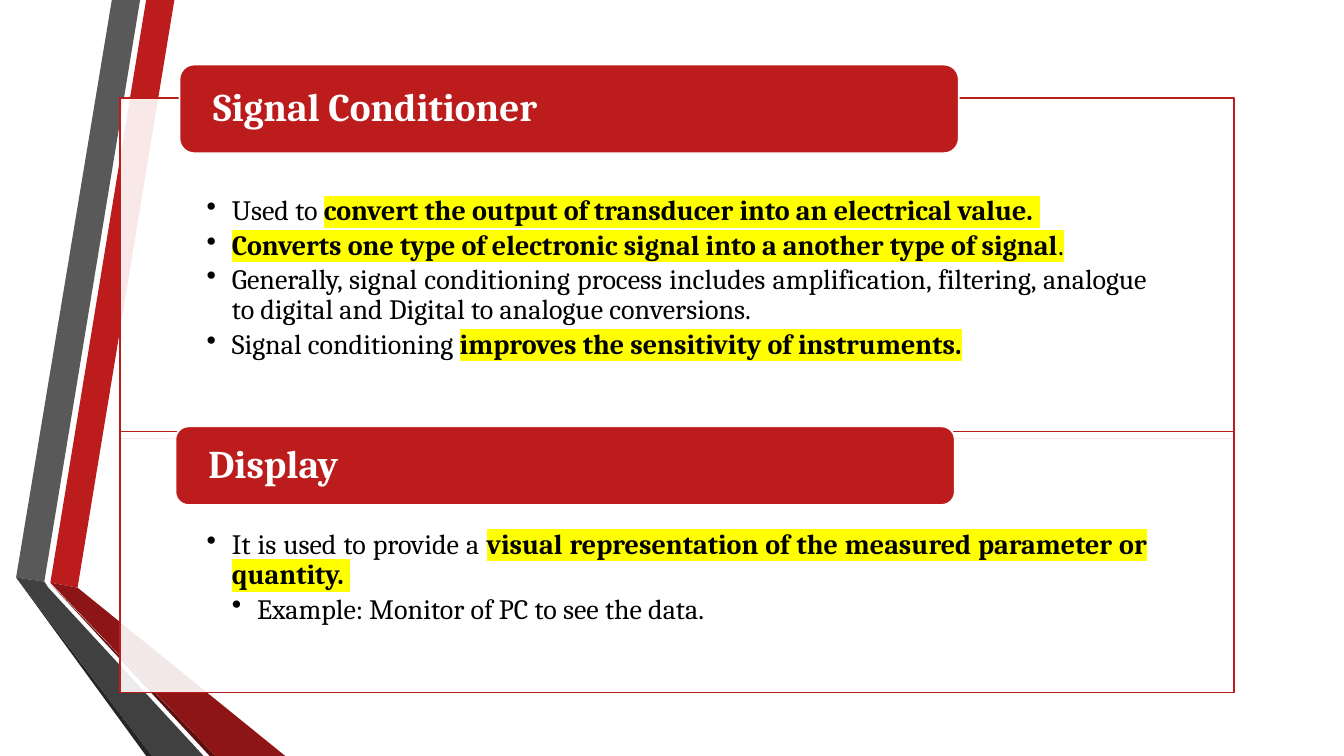
from dataclasses import dataclass

from lxml import etree
from pptx import Presentation
from pptx.dml.color import RGBColor
from pptx.enum.shapes import MSO_SHAPE
from pptx.enum.text import MSO_ANCHOR, PP_ALIGN
from pptx.oxml.ns import qn
from pptx.util import Pt

PX = 9144
SLIDE_WIDTH, SLIDE_HEIGHT = 1333, 750
BLANK_LAYOUT = 6
RECTANGLE, ROUNDED = MSO_SHAPE.RECTANGLE, MSO_SHAPE.ROUNDED_RECTANGLE
TOP, MIDDLE = MSO_ANCHOR.TOP, MSO_ANCHOR.MIDDLE
JUSTIFY = PP_ALIGN.JUSTIFY
PLAIN, MARKED, KEY = "plain", "marked", "key"


@dataclass(frozen=True)
class Theme:
    """Colours, font and type sizes of the slide."""
    red: str = "BC1C1C"
    dark_red: str = "8D1515"
    deep_red: str = "5E0E0E"
    grey: str = "595959"
    dark_grey: str = "404040"
    deep_grey: str = "262626"
    white: str = "FFFFFF"
    black: str = "000000"
    marker: str = "FFFF00"
    font: str = "Cambria"
    heading_size: int = 28
    body_size: int = 20
    outline: float = 1.25
    panel_alpha: int = 90000


THEME = Theme()

RIBBONS = [
    (THEME.red, [(34, 578), (61, 583), (157, 0), (129, 0)]),
    (THEME.grey, [(123, 0), (95, 0), (0, 573), (28, 577)]),
    (THEME.deep_grey, [(0, 573), (129, 750), (135, 750)]),
    (THEME.deep_red, [(34, 579), (192, 750), (198, 750)]),
    (THEME.dark_red, [(34, 578), (198, 750), (267, 750), (61, 583)]),
    (THEME.dark_grey, [(186, 750), (32, 583), (28, 577), (0, 573), (135, 750)]),
]

SECTIONS = [
    ("Signal Conditioner", (119, 97, 1105, 338), (59, -33, 773, 88), [
        (1, [("Used to ", PLAIN),
             ("convert the output of transducer into an electrical value. ", KEY)]),
        (1, [("Converts one type of electronic signal into a another type of signal", KEY),
             (".", MARKED)]),
        (1, [("Generally, signal conditioning process includes amplification, filtering, "
              "analogue to digital and Digital to analogue conversions.", PLAIN)]),
        (1, [("Signal conditioning ", PLAIN),
             ("improves the sensitivity of instruments.", KEY)]),
    ]),
    ("Display", (119, 428, 1105, 259), (55, -5, 773, 78), [
        (1, [("It is used to provide a ", PLAIN),
             ("visual representation of the measured parameter or quantity. ", KEY)]),
        (2, [("Example: Monitor of PC to see the data.", PLAIN)]),
    ]),
]


def paint(shape, fill, line=None):
    """Give a shape a flat fill and an optional outline."""
    shape.shadow.inherit = False
    shape.fill.solid()
    shape.fill.fore_color.rgb = RGBColor.from_string(fill)
    if line:
        shape.line.color.rgb = RGBColor.from_string(line)
        shape.line.width = Pt(THEME.outline)
    else:
        shape.line.fill.background()


def add_block(slide, preset, box, fill, line, insets, anchor):
    """Add a painted shape ready for text and return it."""
    block = slide.shapes.add_shape(preset, *(length * PX for length in box))
    paint(block, fill, line)
    frame = block.text_frame
    frame.word_wrap = True
    frame.vertical_anchor = anchor
    side, top, bottom = insets
    frame.margin_left = frame.margin_right = side * PX
    frame.margin_top, frame.margin_bottom = top * PX, bottom * PX
    return block


def style_paragraph(paragraph, size, color):
    """Set the alignment, line spacing and font of a paragraph."""
    paragraph.alignment = JUSTIFY
    paragraph.line_spacing = 0.9
    paragraph.font.name = THEME.font
    paragraph.font.size = Pt(size)
    paragraph.font.color.rgb = RGBColor.from_string(color)


def add_bullet(paragraph, level):
    """Give a paragraph a hanging round bullet at a level."""
    paragraph.level = level
    properties = paragraph._p.get_or_add_pPr()
    properties.set("marL", str(25 * level * PX))
    properties.set("indent", str(-25 * PX))
    etree.SubElement(properties, qn("a:buChar")).set("char", "•")


def add_phrase(paragraph, text, style):
    """Add a run, marked or bold as its style asks."""
    run = paragraph.add_run()
    run.text = text
    if style == KEY:
        run.font.bold = True
    if style != PLAIN:
        highlight = etree.SubElement(run._r.get_or_add_rPr(), qn("a:highlight"))
        etree.SubElement(highlight, qn("a:srgbClr")).set("val", THEME.marker)


def draw_ribbons(slide, box):
    """Draw the folded ribbons from the corner of the box."""
    left, top = box
    for color, corners in RIBBONS:
        builder = slide.shapes.build_freeform(*corners[0], scale=PX)
        builder.add_line_segments(corners[1:], close=True)
        paint(builder.convert_to_shape(left * PX, top * PX), color)


def draw_panel(slide, box, points):
    """Draw a translucent panel with its bulleted points."""
    panel = add_block(slide, RECTANGLE, box, THEME.white, THEME.red, (86, 98, 16), TOP)
    fill_color = panel._element.spPr.find(qn("a:solidFill")).find(qn("a:srgbClr"))
    etree.SubElement(fill_color, qn("a:alpha")).set("val", str(THEME.panel_alpha))
    frame = panel.text_frame
    for index, (level, phrases) in enumerate(points):
        point = frame.add_paragraph() if index else frame.paragraphs[0]
        add_bullet(point, level)
        style_paragraph(point, THEME.body_size, THEME.black)
        point.space_after = Pt(3)
        for text, style in phrases:
            add_phrase(point, text, style)


def draw_heading(slide, box, title):
    """Draw a rounded heading bar with its title."""
    bar = add_block(slide, ROUNDED, box, THEME.red, THEME.white, (29, 0, 0), MIDDLE)
    heading = bar.text_frame.paragraphs[0]
    style_paragraph(heading, THEME.heading_size, THEME.white)
    heading.font.bold = True
    heading.add_run().text = title


def draw_section(slide, box, title, heading_box, points):
    """Draw a panel and the heading set relative to its corner."""
    left, top = box[:2]
    shift_x, shift_y, width, height = heading_box
    draw_panel(slide, box, points)
    draw_heading(slide, (left + shift_x, top + shift_y, width, height), title)


def main():
    """Build the slide and save it."""
    deck = Presentation()
    deck.slide_width, deck.slide_height = SLIDE_WIDTH * PX, SLIDE_HEIGHT * PX
    slide = deck.slides.add_slide(deck.slide_layouts[BLANK_LAYOUT])
    draw_ribbons(slide, (16, 0))
    for title, box, heading_box, points in SECTIONS:
        draw_section(slide, box, title, heading_box, points)
    deck.save("out.pptx")


if __name__ == "__main__":
    main()
